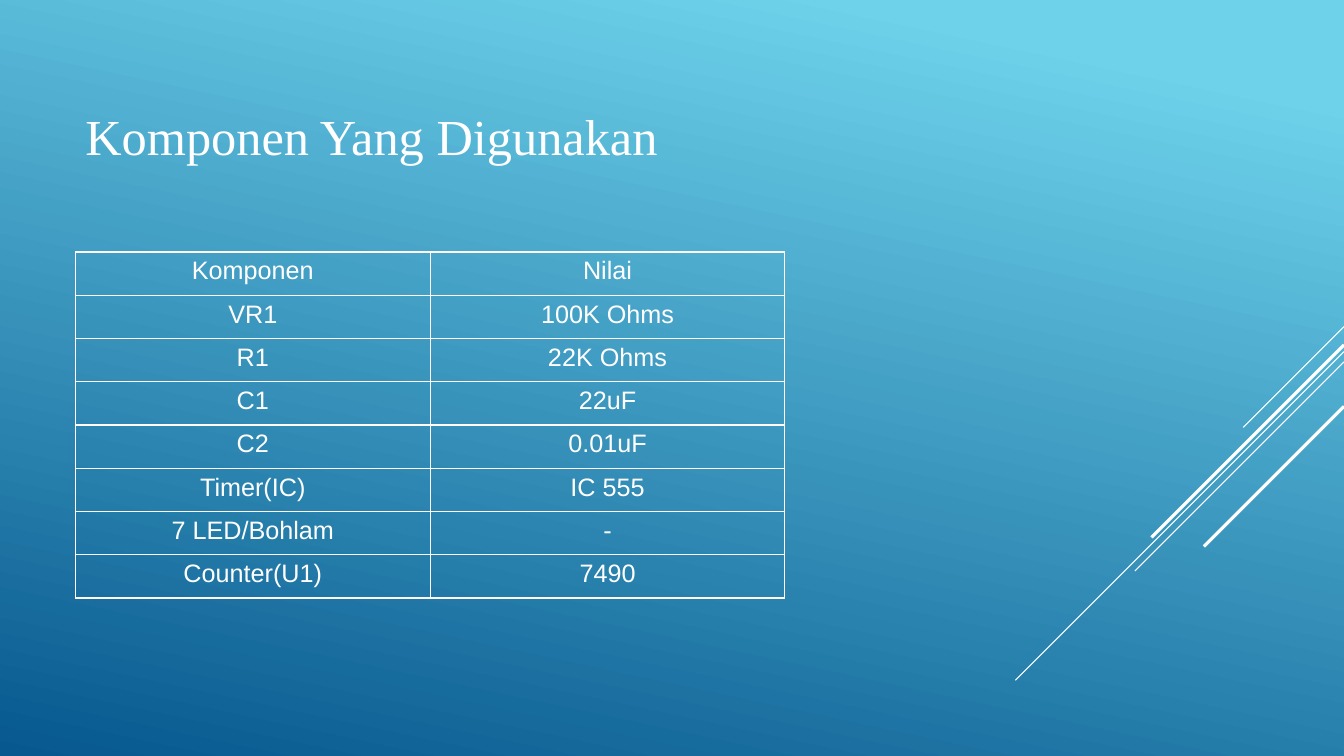
from dataclasses import dataclass

from lxml.etree import SubElement
from pptx import Presentation
from pptx.dml.color import RGBColor
from pptx.enum.shapes import MSO_CONNECTOR as Connector
from pptx.enum.text import MSO_ANCHOR as Anchor, PP_ALIGN as Align
from pptx.oxml.ns import qn
from pptx.util import Cm, Pt

PAGE_WIDTH = 33.87
PAGE_HEIGHT = 19.05
MARGIN = 1.9
WHITE = "FFFFFF"


@dataclass(frozen=True)
class Streak:
    top: float
    reach: float
    weight: float


@dataclass(frozen=True)
class Component:
    name: str
    value: str


STREAKS = [
    Streak(8.23, 2.54, 0.75),
    Streak(8.86, 8.28, 0.75),
    Streak(9.12, 5.27, 0.75),
    Streak(8.69, 4.85, 2.25),
    Streak(10.24, 3.53, 2.25),
]

COMPONENTS = [
    Component("Komponen", "Nilai"),
    Component("VR1", "100K Ohms"),
    Component("R1", "22K Ohms"),
    Component("C1", "22uF"),
    Component("C2", "0.01uF"),
    Component("Timer(IC)", "IC 555"),
    Component("7 LED/Bohlam", "-"),
    Component("Counter(U1)", "7490"),
]


def color(value: str) -> RGBColor:
    return RGBColor.from_string(value)


def paint_background(page) -> None:
    fill = page.background.fill
    fill.gradient()
    fill.gradient_angle = 258
    for stop, position, shade in zip(fill.gradient_stops, (0.1, 1), ("6ED2EB", "06588E")):
        stop.position = position
        stop.color.rgb = color(shade)


def add_streak(page, streak: Streak) -> None:
    line = page.shapes.add_connector(
        Connector.STRAIGHT,
        Cm(PAGE_WIDTH),
        Cm(streak.top),
        Cm(PAGE_WIDTH - streak.reach),
        Cm(streak.top + streak.reach),
    )
    line.line.color.rgb = color(WHITE)
    line.line.width = Pt(streak.weight)
    SubElement(line._element.spPr, qn("a:effectLst"))


def add_span(para, text: str, font: str, size: float) -> None:
    span = para.add_run()
    span.text = text
    span.font.name = font
    span.font.size = Pt(size)
    span.font.color.rgb = color(WHITE)


def add_title(page, text: str) -> None:
    box = page.shapes.add_textbox(Cm(MARGIN), Cm(1.32), Cm(23.7), Cm(4.19))
    frame = box.text_frame
    frame.word_wrap = True
    frame.vertical_anchor = Anchor.MIDDLE
    add_span(frame.paragraphs[0], text, "Times New Roman", 36)


def add_borders(cell) -> None:
    properties = cell._tc.get_or_add_tcPr()
    for index, side in enumerate(("lnL", "lnR", "lnT", "lnB")):
        border = properties.makeelement(qn(f"a:{side}"), {"w": str(Pt(1))})
        fill = SubElement(border, qn("a:solidFill"))
        SubElement(fill, qn("a:srgbClr"), {"val": WHITE})
        properties.insert(index, border)


def fill_cell(cell, text: str) -> None:
    cell.fill.background()
    add_borders(cell)
    para = cell.text_frame.paragraphs[0]
    para.alignment = Align.CENTER
    add_span(para, text, "Arial", 18)


def add_component_table(page, components: list[Component]) -> None:
    column_width, row_height = 8.94, 1.09
    table = page.shapes.add_table(
        len(components),
        2,
        Cm(MARGIN),
        Cm(6.35),
        Cm(2 * column_width),
        Cm(len(components) * row_height),
    ).table
    table.first_row = False
    table.horz_banding = False
    for row, component in zip(table.rows, components):
        for cell, text in zip(row.cells, (component.name, component.value)):
            fill_cell(cell, text)


def main() -> None:
    deck = Presentation()
    deck.slide_width = Cm(PAGE_WIDTH)
    deck.slide_height = Cm(PAGE_HEIGHT)
    page = deck.slides.add_slide(deck.slide_layouts[6])
    paint_background(page)
    for streak in STREAKS:
        add_streak(page, streak)
    add_title(page, "Komponen Yang Digunakan")
    add_component_table(page, COMPONENTS)
    deck.save("out.pptx")


if __name__ == "__main__":
    main()
